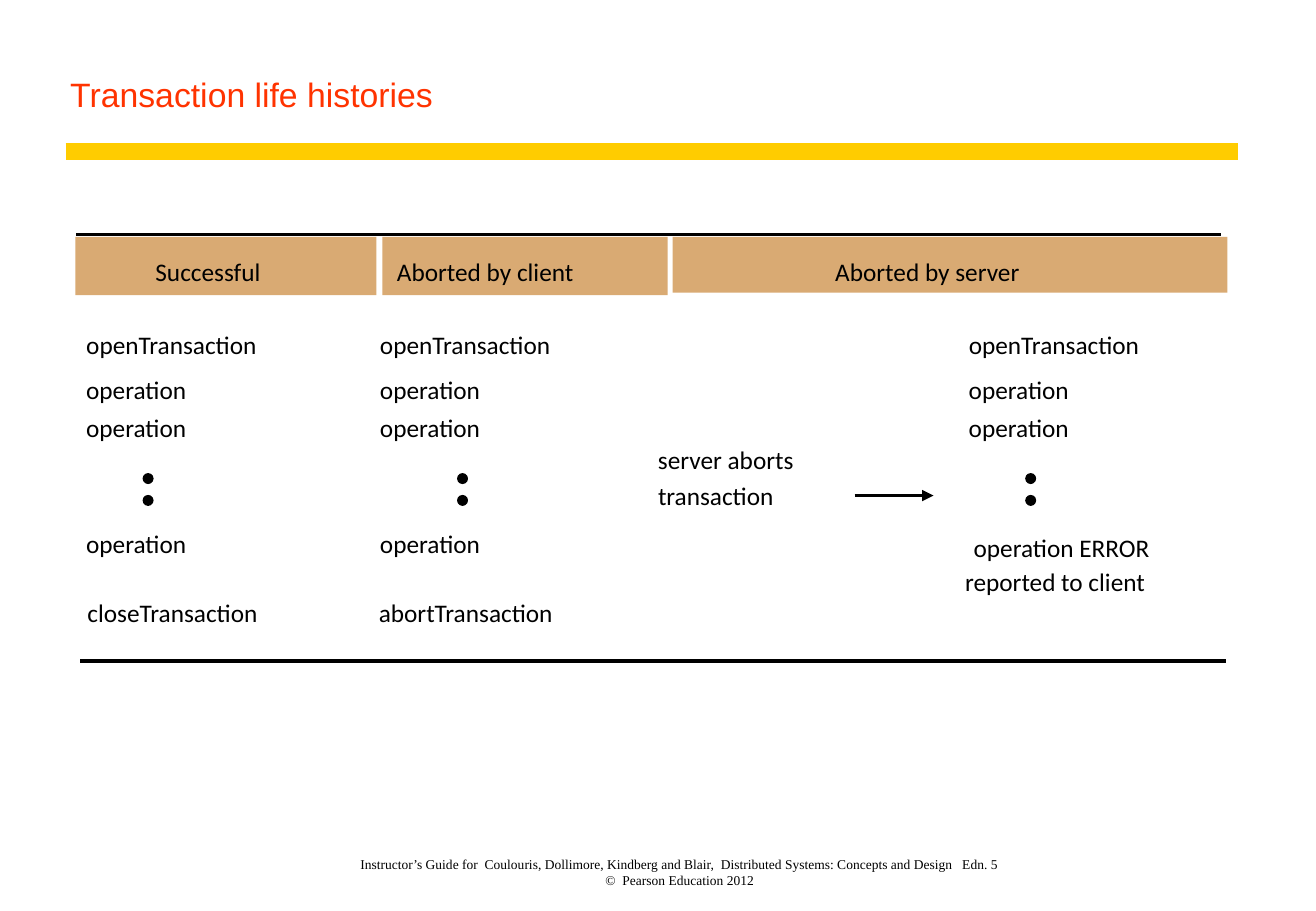
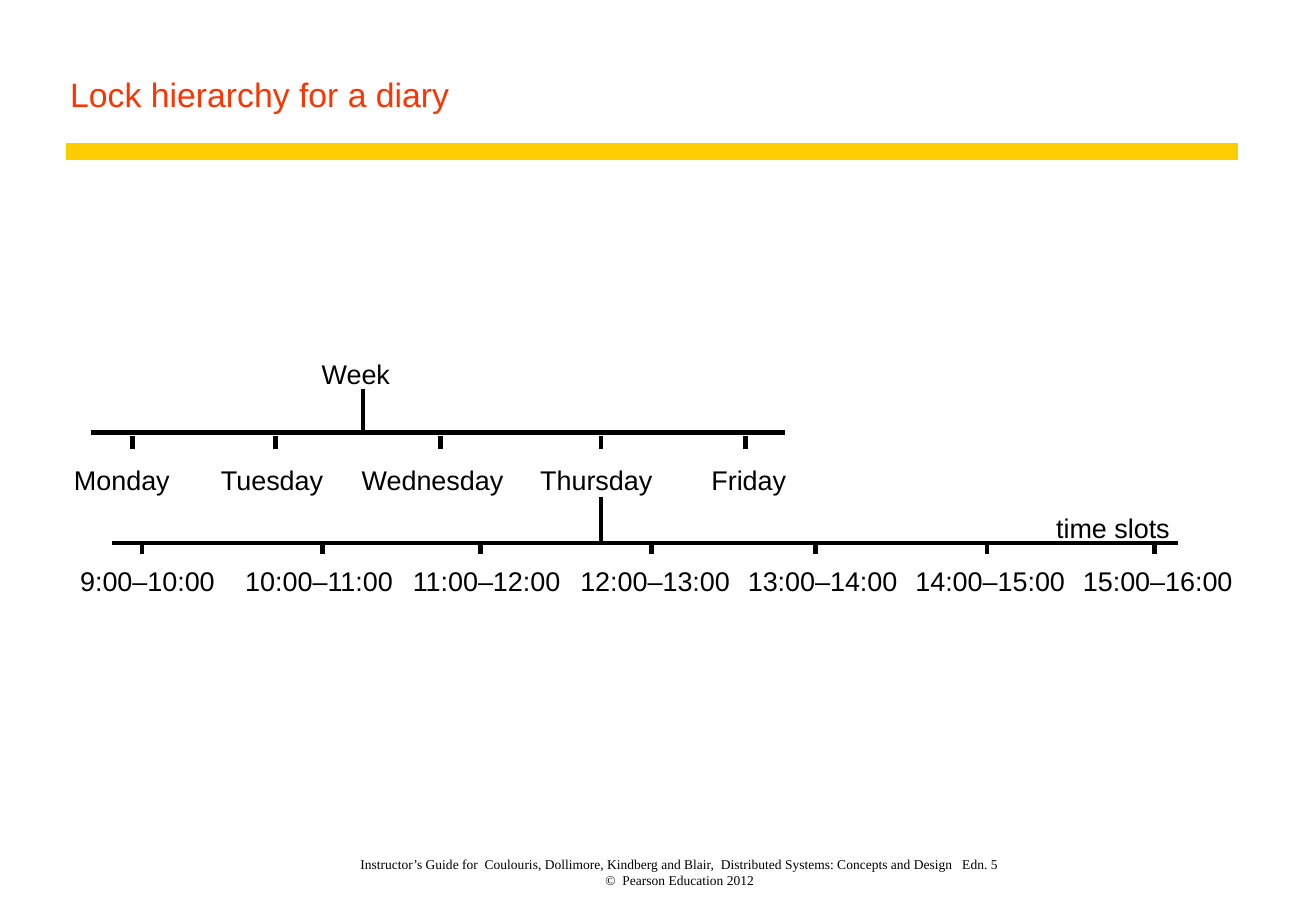
import pptx
import pptx.dml.color
import pptx.enum.shapes
import pptx.enum.text
import pptx.oxml.ns
import pptx.util
from lxml import etree

Inches = pptx.util.Inches
SHAPE = pptx.enum.shapes.MSO_SHAPE
ANCHOR = pptx.enum.text.MSO_ANCHOR
ALIGN = pptx.enum.text.PP_ALIGN
AUTO = pptx.enum.text.MSO_AUTO_SIZE

BLACK, RED, YELLOW, TAN = "000000", "FF3300", "FFCC00", "D9AA73"
TITLE = {"name": "Arial", "size": 20, "color": RED}
FOOTER = {"name": "Times New Roman", "size": 8, "color": BLACK}
CELL = {"name": "Calibri", "size": 15, "color": BLACK}
NODE = {"name": "Arial", "size": 16, "color": BLACK}
FOOTER_TEXT = ("Instructor’s Guide for  Coulouris, Dollimore, Kindberg and Blair,  "
               "Distributed Systems: Concepts and Design   Edn. 5\v"
               "©  Pearson Education 2012")


def rgb(value):
    return pptx.dml.color.RGBColor.from_string(value)


def assign(obj, values):
    for name, value in values.items():
        setattr(obj, name, value)


def add_text(s, box, text, style, wrap=False, align=ALIGN.LEFT, **frame):
    sp = s.shapes.add_textbox(*map(Inches, box))
    tf = sp.text_frame
    margins = dict.fromkeys(
        ("margin_left", "margin_top", "margin_right", "margin_bottom"), 0)
    size = AUTO.NONE if wrap else AUTO.SHAPE_TO_FIT_TEXT
    assign(tf, {**margins, "word_wrap": wrap, "auto_size": size, **frame})
    p = tf.paragraphs[0]
    p.text = text
    p.alignment = align
    for r in p.runs:
        assign(r.font, {"name": style["name"],
                        "size": pptx.util.Pt(style["size"])})
        r.font.color.rgb = rgb(style["color"])


def add_line(s, x1, y1, x2, y2, width, color=BLACK, arrow=False):
    c = s.shapes.add_connector(pptx.enum.shapes.MSO_CONNECTOR.STRAIGHT,
                               *map(Inches, (x1, y1, x2, y2)))
    c.line.width = pptx.util.Pt(width)
    c.line.color.rgb = rgb(color)
    qn = pptx.oxml.ns.qn
    if arrow:
        ln = c._element.spPr.find(qn("a:ln"))
        etree.SubElement(ln, qn("a:tailEnd"), type="triangle")
    etree.SubElement(c._element.spPr, qn("a:effectLst"))


def add_solid(s, kind, box, color, line=0):
    sp = s.shapes.add_shape(kind, *map(Inches, box))
    sp.shadow.inherit = False
    sp.fill.solid()
    sp.fill.fore_color.rgb = rgb(color)
    if line:
        sp.line.color.rgb = rgb(color)
        sp.line.width = pptx.util.Pt(line)
    else:
        sp.line.fill.background()


def add_slide(prs, title):
    s = prs.slides.add_slide(prs.slide_layouts[6])
    add_text(s, (2.3, 6.92, 6.6, 0.39), FOOTER_TEXT, FOOTER, wrap=True,
             align=ALIGN.CENTER, vertical_anchor=ANCHOR.BOTTOM)
    add_line(s, 0.54, 1.25, 10.2, 1.25, 10, YELLOW)
    add_text(s, (0.48, 0, 9.72, 1), title, TITLE, wrap=True,
             vertical_anchor=ANCHOR.BOTTOM, margin_left=Inches(0.1),
             margin_right=Inches(0.14), margin_bottom=Inches(0.06))
    return s


def add_headers(s, x, y):
    headers = [("Successful", 0, 2.48, 0.48, 0.66, 1.02),
               ("Aborted by client", 2.53, 2.35, 0.48, 2.65, 1.67),
               ("Aborted by server", 4.92, 4.57, 0.46, 6.26, 1.75)]
    for text, left, width, height, text_left, text_width in headers:
        add_solid(s, SHAPE.RECTANGLE, (x + left, y, width, height), TAN)
        add_text(s, (x + text_left, y + 0.16, text_width, 0.25), text, CELL)


def add_history(s, x, y, dots_x, ending):
    start = [("openTransaction", 0, 0, 1.65), ("operation", 0, 0.37, 0.96),
             ("operation", 0, 0.68, 0.96)]
    for text, left, top, width in start + ending:
        add_text(s, (x + left, y + top, width, 0.25), text, CELL)
    for top in (1.19, 1.37):
        add_solid(s, SHAPE.OVAL, (x + dots_x, y + top, 0.08, 0.08), BLACK, 0.75)


def add_histories(s, x, y, w, h):
    add_headers(s, x, y + 0.02)
    operation = ("operation", 0, 1.64, 0.96)
    columns = [
        (0.09, 0.47, [operation, ("closeTransaction", 0.01, 2.21, 1.65)]),
        (2.51, 0.64, [operation, ("abortTransaction", -0.01, 2.21, 1.68)]),
        (7.36, 0.47, [("operation ERROR", 0.04, 1.67, 1.68),
                      ("reported to client", -0.03, 1.95, 1.7)])]
    for left, dots_x, ending in columns:
        add_history(s, x + left, y + 0.78, dots_x, ending)
    add_text(s, (x + 4.8, y + 1.73, 1.3, 0.25), "server aborts", CELL)
    add_text(s, (x + 4.8, y + 2.02, 1.11, 0.25), "transaction", CELL)
    add_line(s, x + 6.42, y + 2.15, x + 7.07, y + 2.15, 2.25, arrow=True)
    add_line(s, x + 0.01, y, x + w - 0.05, y, 2.25)
    add_line(s, x + 0.04, y + h, x + w - 0.01, y + h, 2.25)


def add_tier(s, x, y, w, stem, ticks, labels):
    stem_x, stem_height = stem
    tick_xs, tick_top, tick_bottom = ticks
    add_line(s, x, y, x + w, y, 2.86)
    add_line(s, x + stem_x, y - stem_height, x + stem_x, y, 2.86)
    for left in tick_xs:
        add_line(s, x + left, y + tick_top, x + left, y + tick_bottom, 2.86)
    for text, left, top, width in labels:
        add_text(s, (x + left, y + top, width, 0.27), text, NODE)


def add_week(s, x, y, w):
    days = [("Monday", -0.14, 0.9), ("Tuesday", 1.07, 0.95),
            ("Wednesday", 2.23, 1.3), ("Thursday", 3.7, 1.05),
            ("Friday", 5.11, 0.75)]
    labels = [(day, left, 0.26, width) for day, left, width in days]
    add_tier(s, x, y, w, (2.24, 0.36),
             ((0.34, 1.52, 2.88, 4.2, 5.39), 0.03, 0.14),
             labels + [("Week", 1.9, -0.62, 0.7)])


def add_time_slots(s, x, y, w):
    labels = [("9:00–10:00", -0.26, 0.18, 1.25)]
    labels += [(f"{hour}:00–{hour + 1}:00", 1.1 + 1.38 * i, 0.18, 1.35)
               for i, hour in enumerate(range(10, 16))]
    add_tier(s, x, y, w, (4.03, 0.38),
             ((0.25, 1.74, 3.04, 4.45, 5.8, 7.21, 8.59), 0, 0.09),
             labels + [("time slots", 7.78, -0.26, 1.05)])


def main():
    prs = pptx.Presentation()
    assign(prs, {"slide_width": Inches(10.84), "slide_height": Inches(7.5)})
    add_histories(add_slide(prs, "Transaction life histories"),
                  0.62, 1.93, 9.49, 3.51)
    s = add_slide(prs, "Lock hierarchy for a diary")
    add_week(s, 0.75, 3.56, 5.72)
    add_time_slots(s, 0.92, 4.47, 8.78)
    prs.save("out.pptx")


if __name__ == "__main__":
    main()
